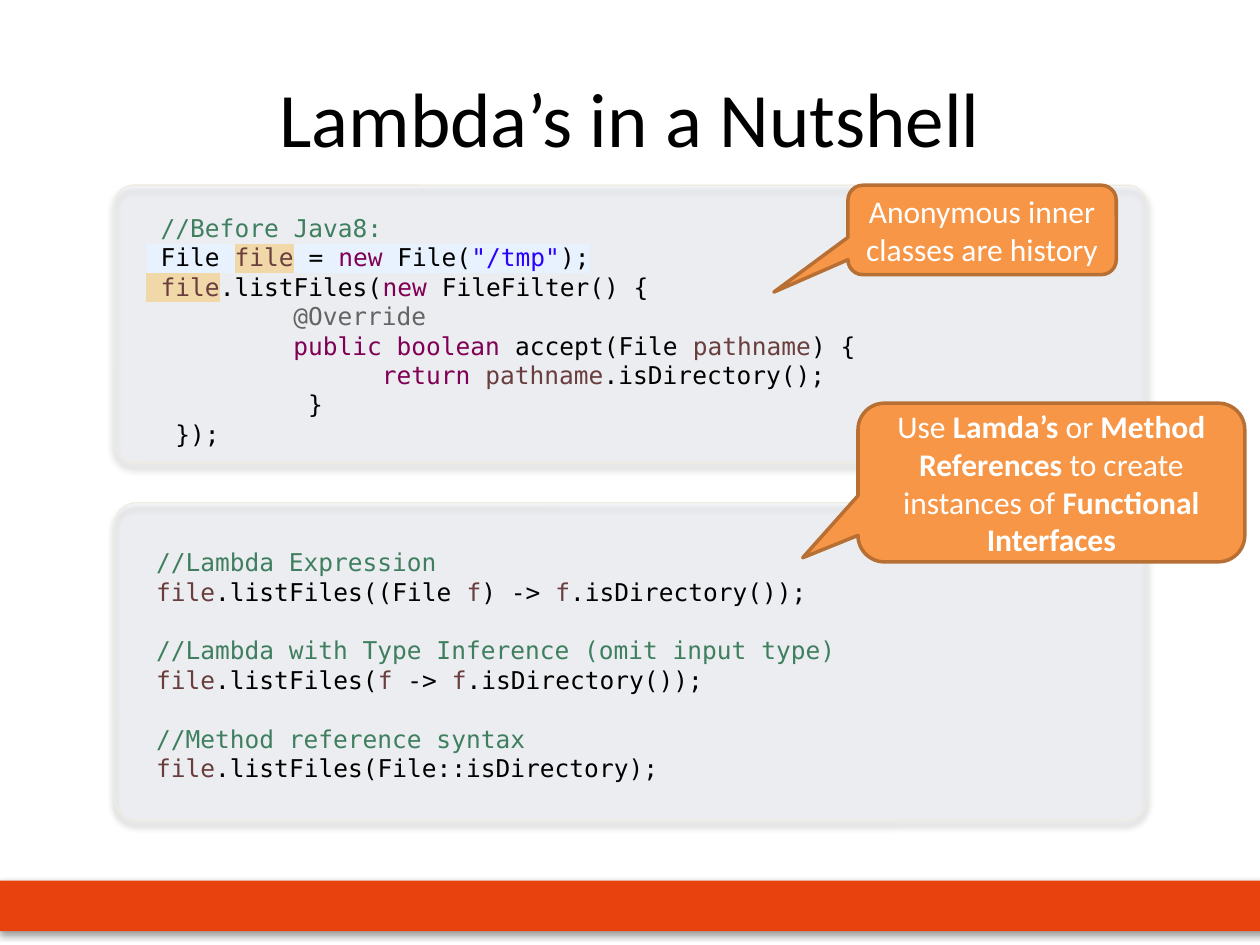
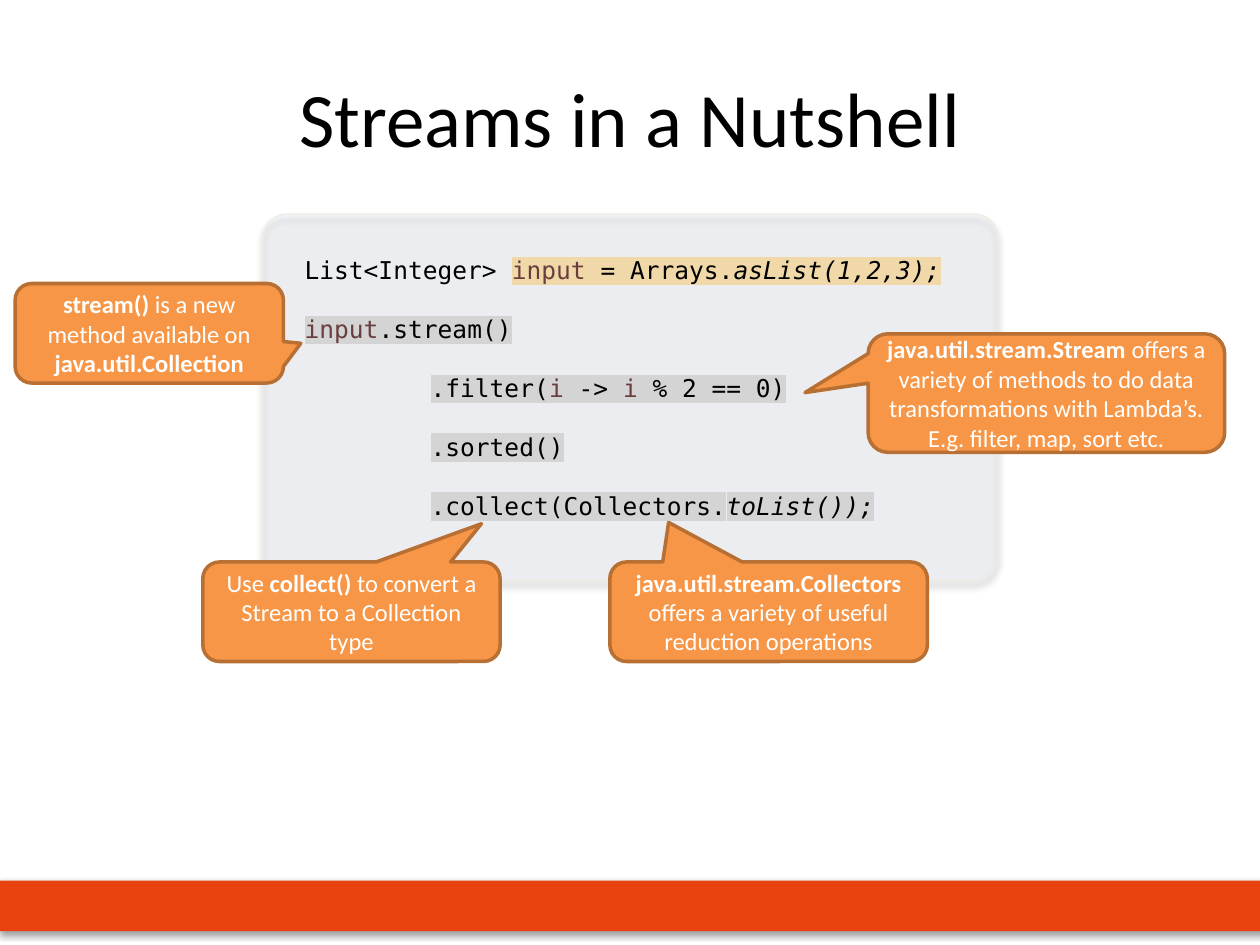
from lxml.etree import SubElement
from pptx import Presentation
from pptx.dml.color import RGBColor
from pptx.enum.shapes import MSO_SHAPE
from pptx.enum.text import MSO_ANCHOR, PP_ALIGN
from pptx.oxml.ns import qn
from pptx.util import Inches, Pt

# Shared look
SANS, MONO = "Calibri", "DejaVu Sans Mono"
BLACK, WHITE = "000000", "FFFFFF"
BAND, PANEL, RIM = "E8420E", "E2ECFB", "EEECE1"
ORANGE, BROWN = "F79646", "B76F34"
NOTE, VAR, KEY, QUOTE, TAG = "3F7F5F", "6A3E3E", "7F0055", "2A00FF", "646464"
BLUE, SAND, GREY = "E8F2FE", "F0D8A8", "D4D4D4"
CHAR = 0.117  # width of one code character, inches


def rgb(code):
    return RGBColor.from_string(code)


def write(para, text, font=SANS, size=14, color=BLACK, bold=False,
          italic=False, mark=None):
    """Add one formatted run to a paragraph."""
    run = para.add_run()
    run.text = text
    run.font.name, run.font.size = font, Pt(size)
    run.font.bold, run.font.italic = bold, italic
    run.font.color.rgb = rgb(color)
    if mark:
        props = run.font.fill._xPr
        light = SubElement(props, qn("a:highlight"))
        SubElement(light, qn("a:srgbClr"), val=mark)
        props.find(qn("a:solidFill")).addnext(light)


def draw(slide, kind, box, fill, line=None, width=0, alpha=None):
    shape = slide.shapes.add_shape(kind, *map(Inches, box))
    shape.shadow.inherit = False
    shape.fill.solid()
    shape.fill.fore_color.rgb = rgb(fill)
    if alpha:
        tint = shape.element.spPr.find(qn("a:solidFill"))[0]
        SubElement(tint, qn("a:alpha"), val=str(alpha * 1000))
    if line:
        shape.line.color.rgb = rgb(line)
        shape.line.width = Pt(width)
    else:
        shape.line.fill.background()
    return shape


def shade(shape, angle):
    """Give a shape a soft black shadow."""
    effect = shape.element.spPr.find(qn("a:effectLst"))
    cast = SubElement(effect, qn("a:outerShdw"), blurRad=str(Pt(4)),
                      dist=str(Pt(3)), dir=str(angle * 60000),
                      algn="tl", rotWithShape="0")
    tint = SubElement(cast, qn("a:srgbClr"), val=BLACK)
    SubElement(tint, qn("a:alpha"), val="40000")


def band(slide):
    """Put the bottom band on the layout, behind its placeholders."""
    bar = draw(slide, MSO_SHAPE.RECTANGLE, (-0.04, 6.99, 10.07, 0.4), BAND)
    shade(bar, 45)
    bar.element.nvSpPr.cNvPr.set("id", "20")
    slide.slide_layout.shapes.element.insert(2, bar.element)


def head(slide, text):
    title = slide.shapes.title
    title.left, title.top, title.width, title.height = map(
        Inches, (0.5, 0.3, 9, 1.25))
    frame = title.text_frame
    frame.vertical_anchor = MSO_ANCHOR.MIDDLE
    para = frame.paragraphs[0]
    para.alignment = PP_ALIGN.CENTER
    write(para, text, size=44)


def panel(slide, box, lines, inset, size, curve=0.069):
    """Code panel; a line is (indent, spacing, pieces)."""
    back = draw(slide, MSO_SHAPE.ROUNDED_RECTANGLE, box, PANEL, RIM, 0.75, 17)
    back.adjustments[0] = curve
    shade(back, 90)
    spot = (box[0] + inset[0], box[1] + inset[1], *size)
    frame = slide.shapes.add_textbox(*map(Inches, spot)).text_frame
    frame.word_wrap = True
    for num, (indent, space, parts) in enumerate(lines):
        para = frame.add_paragraph() if num else frame.paragraphs[0]
        para.line_spacing = space
        if indent:
            para._p.get_or_add_pPr().set("marL", str(Inches(indent)))
        for text, color, *rest in parts:
            look = rest[0] if rest else {}
            write(para, text, font=MONO, color=color, **look)


def bubble(slide, box, tip, parts, size=14):
    """Callout; every second part is bold, tip is a share of the box."""
    shape = draw(slide, MSO_SHAPE.ROUNDED_RECTANGULAR_CALLOUT, box,
                 ORANGE, BROWN, 2)
    for num, value in enumerate((*tip, 0.167)):
        shape.adjustments[num] = value
    frame = shape.text_frame
    frame.word_wrap = True
    frame.vertical_anchor = MSO_ANCHOR.MIDDLE
    para = frame.paragraphs[0]
    para.alignment = PP_ALIGN.CENTER
    for num, text in enumerate(parts):
        if text:
            write(para, text, size=size, color=WHITE, bold=num % 2 == 1)


def lambdas(slide):
    head(slide, "Lambda’s in a Nutshell")
    blue, sand = {"mark": BLUE}, {"mark": SAND}
    # Code before lambdas
    before = [
        (0, 1, [(" //Before Java8:", NOTE)]),
        (0, 1, [(" File ", BLACK, blue), ("file", VAR, sand),
                (" = ", BLACK, blue), ("new", KEY, blue),
                (" File(", BLACK, blue), ('"/tmp"', QUOTE, blue),
                (");", BLACK, blue)]),
        (0, 1, [(" file", VAR, sand), (".listFiles(", BLACK),
                ("new ", KEY), ("FileFilter() {", BLACK)]),
        (10 * CHAR, 1, [("@Override", TAG)]),
        (10 * CHAR, 1, [("public boolean", KEY), (" accept(File ", BLACK),
                        ("pathname", VAR), (") {", BLACK)]),
        (16 * CHAR, 1, [("return ", KEY), ("pathname", VAR),
                        (".isDirectory();", BLACK)]),
        (11 * CHAR, 1, [("}", BLACK)]),
        (2 * CHAR, 1, [("});", BLACK)]),
    ]
    panel(slide, (0.91, 1.47, 8.19, 2.2), before, (0.15, 0.17), (8.58, 1.99))
    # Code with lambdas: a note above each call
    calls = [
        ("//Lambda Expression",
         [(".listFiles((File ", BLACK), ("f", VAR), (") -> ", BLACK),
          ("f", VAR), (".isDirectory());", BLACK)]),
        ("//Lambda with Type Inference (omit input type)",
         [(".listFiles(", BLACK), ("f", VAR), (" -> ", BLACK),
          ("f", VAR), (".isDirectory());", BLACK)]),
        ("//Method reference syntax",
         [(".listFiles(File::isDirectory);", BLACK)]),
    ]
    after = []
    for note, call in calls:
        after += [(0, 2, [(note, NOTE)]), (0, 1, [("file", VAR), *call])]
    panel(slide, (0.91, 3.99, 8.19, 2.52), after, (0.23, 0.07), (6.85, 2.22))
    # Callouts
    bubble(slide, (6.81, 3.2, 3.07, 1.26), (-0.643, 0.474),
           ["Use ", "Lamda’s", " or ", "Method References ",
            "to create instances of ", "Functional Interfaces"], 18)
    bubble(slide, (6.73, 1.47, 2.13, 0.71), (-0.776, 0.695),
           ["Anonymous inner classes are history"], 18)


def streams(slide):
    head(slide, "Streams in a Nutshell")
    sand, grey = {"mark": SAND}, {"mark": GREY}
    # Stream code
    code = [
        (0, 1.5, [("List<Integer> ", BLACK), ("input", VAR, sand),
                  (" = Arrays.", BLACK, sand),
                  ("asList(1,2,3);", BLACK, {"italic": True, **sand})]),
        (0, 2, [("input", VAR, grey), (".stream()", BLACK, grey)]),
        (1, 2, [(".filter(", BLACK, grey), ("i", VAR, grey),
                (" -> ", BLACK, grey), ("i", VAR, grey),
                (" % 2 == 0)", BLACK, grey)]),
        (1, 2, [(".sorted()", BLACK, grey)]),
        (1, 2, [(".collect(Collectors.", BLACK, grey),
                ("toList());", BLACK, {"italic": True, **grey})]),
    ]
    panel(slide, (2.09, 1.7, 5.83, 2.91), code, (0.23, 0.16), (5.51, 2.3),
          0.064)
    # Callouts
    bubble(slide, (0.12, 2.25, 2.13, 0.79), (0.565, 0.101),
           ["", "stream()", " is a new method available on ",
            "java.util.Collection"])
    bubble(slide, (6.89, 2.65, 2.83, 0.94), (-0.677, -0.004),
           ["", "java.util.stream.Stream", " offers a variety of methods to "
            "do data transformations with Lambda’s. E.g. filter, map, "
            "sort etc."])
    bubble(slide, (1.61, 4.46, 2.36, 0.79), (0.437, -0.884),
           ["Use ", "collect()",
            " to convert a Stream to a Collection type"])
    bubble(slide, (4.84, 4.46, 2.52, 0.79), (-0.315, -0.897),
           ["", "java.util.stream.Collectors ",
            "offers a variety of useful reduction operations"])


def main():
    deck = Presentation()
    deck.slide_width, deck.slide_height = Inches(10), Inches(7.5)
    layout = deck.slide_layouts[5]
    first, second = [deck.slides.add_slide(layout) for _ in range(2)]
    band(first)
    lambdas(first)
    streams(second)
    deck.save("out.pptx")


if __name__ == "__main__":
    main()
